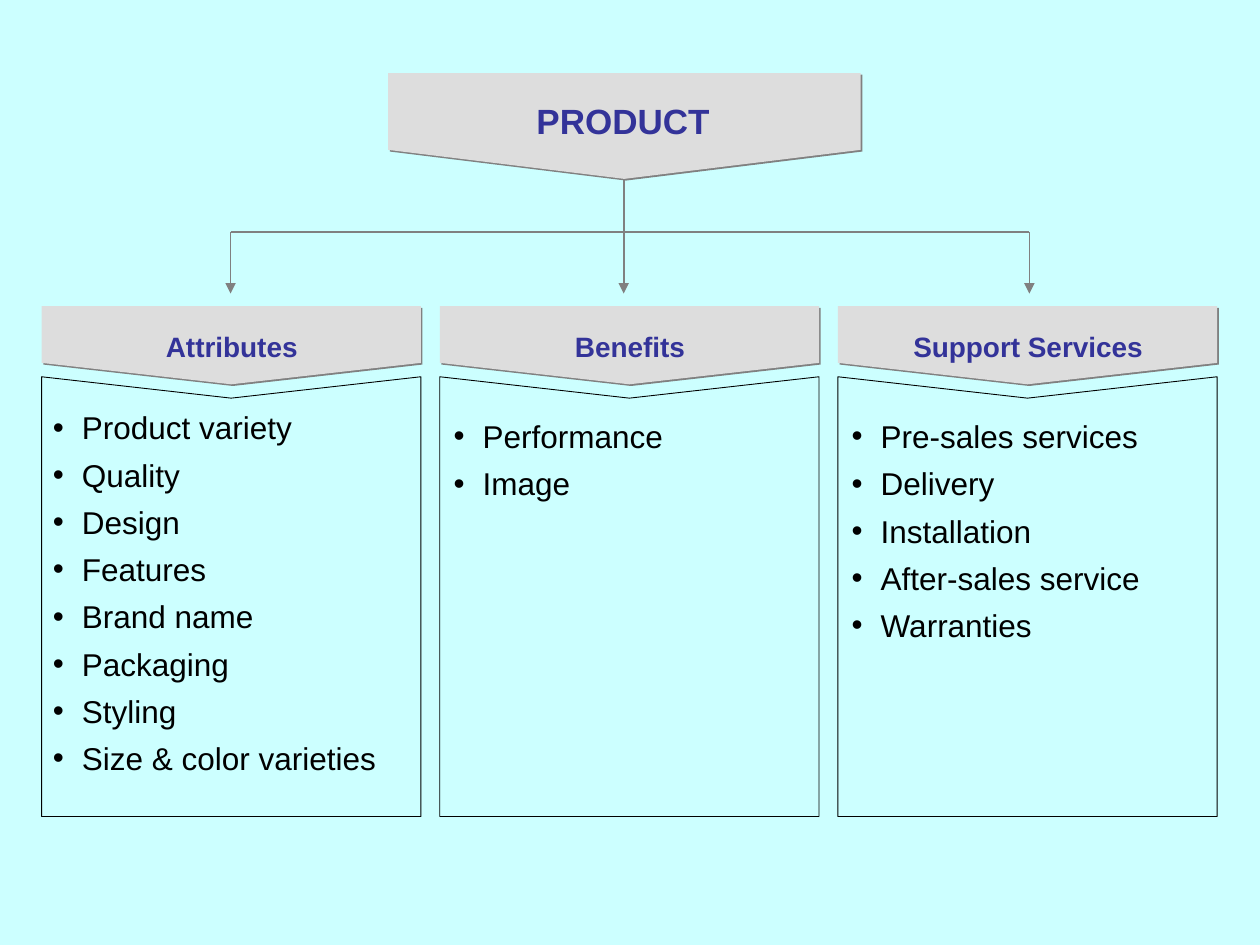
"""Build a slide that splits a product into attributes, benefits and support services."""
from lxml.etree import SubElement
from pptx import Presentation
from pptx.dml.color import RGBColor
from pptx.enum.shapes import MSO_CONNECTOR, MSO_SHAPE
from pptx.enum.text import MSO_ANCHOR as ANCHOR, MSO_AUTO_SIZE as AUTO_SIZE, PP_ALIGN as ALIGN
from pptx.oxml.ns import qn
from pptx.util import Inches, Pt

COLORS = {
    "background": "CCFFFF",
    "banner": "DDDDDD",
    "heading": "333399",
    "text": "000000",
    "gray": "808080",
}
RGB = {name: RGBColor.from_string(value) for name, value in COLORS.items()}
HEADING_FONT = {"name": "Arial", "bold": True}
LIST_FONT = {"name": "Arial", "bold": False, "size": Pt(18)}
FRAME = {"margin_left": 0, "margin_top": 0, "margin_right": 0, "margin_bottom": 0,
         "word_wrap": True, "auto_size": AUTO_SIZE.NONE}
COLUMNS = [
    ("Attributes", 0.42, 3.24, ["Product variety", "Quality", "Design", "Features",
                                "Brand name", "Packaging", "Styling", "Size & color varieties"]),
    ("Benefits", 3.6, 3.31, ["Performance", "Image"]),
    ("Support Services", 6.76, 3.31, ["Pre-sales services", "Delivery", "Installation",
                                      "After-sales service", "Warranties"]),
]
COLUMN_LEFT, COLUMN_STEP, COLUMN_WIDTH = 0.33, 3.16, 3.01


def add_outline(shapes, points):
    corners = [(Inches(x), Inches(y)) for x, y in points]
    builder = shapes.build_freeform(*corners[0], scale=1.0)
    builder.add_line_segments(corners[1:], close=True)
    shape = builder.convert_to_shape()
    shape.shadow.inherit = False
    return shape


def add_banner(shapes, label, text, size, box, sides):
    left, top, right, shoulder, tip = sides
    middle = (left + right) / 2
    banner = add_outline(shapes, [(right, top), (right, shoulder), (middle, tip),
                                  (left, shoulder), (left, top)])
    banner.fill.solid()
    banner.fill.fore_color.rgb = RGB["banner"]
    banner.line.fill.background()
    effects = banner._element.spPr.find(qn("a:effectLst"))
    shadow = SubElement(effects, qn("a:outerShdw"), dist=str(Pt(1.4)), dir="2700000",
                        algn="ctr", rotWithShape="0")
    SubElement(shadow, qn("a:srgbClr"), val=COLORS["gray"])

    if label is None:
        label = shapes.add_shape(MSO_SHAPE.RECTANGLE, 0, 0, 0, 0)
        label.shadow.inherit = False
    label.left, label.top, label.width, label.height = [Inches(value) for value in box]
    label.fill.solid()
    label.fill.fore_color.rgb = RGB["banner"]
    label.line.fill.background()
    shapes._spTree.append(label._element)
    frame = label.text_frame
    for name, value in {**FRAME, "vertical_anchor": ANCHOR.MIDDLE}.items():
        setattr(frame, name, value)
    paragraph = frame.paragraphs[0]
    paragraph.text = text
    paragraph.alignment = ALIGN.CENTER
    for name, value in {**HEADING_FONT, "size": Pt(size)}.items():
        setattr(paragraph.font, name, value)
    paragraph.font.color.rgb = RGB["heading"]


presentation = Presentation()
presentation.slide_width, presentation.slide_height = Inches(10), Inches(7.5)
slide = presentation.slides.add_slide(presentation.slide_layouts[4])
slide.background.fill.solid()
slide.background.fill.fore_color.rgb = RGB["background"]
shapes = slide.shapes
title, *bodies = list(slide.placeholders)[:5]
spare = bodies.pop()
shapes._spTree.remove(spare._element)

for index, ((heading, list_left, list_top, items), body) in enumerate(zip(COLUMNS, bodies)):
    left = COLUMN_LEFT + index * COLUMN_STEP
    right = left + COLUMN_WIDTH
    add_banner(shapes, None, heading, 16, (left + 0.07, 2.61, 2.88, 0.27),
               (left, 2.43, right, 2.88, 3.05))
    panel = add_outline(shapes, [(right, 6.48), (right, 2.99), ((left + right) / 2, 3.16),
                                 (left, 2.99), (left, 6.48)])
    panel.fill.background()
    panel.line.color.rgb = RGB["text"]
    panel.line.width = Pt(0.5)

    body.left, body.top = Inches(list_left), Inches(list_top)
    body.width, body.height = Inches(right - list_left), Inches(6.43 - list_top)
    shapes._spTree.append(body._element)
    frame = body.text_frame
    for name, value in {**FRAME, "vertical_anchor": ANCHOR.TOP}.items():
        setattr(frame, name, value)
    frame.text = "\n".join(items)
    for number, paragraph in enumerate(frame.paragraphs):
        properties = paragraph._p.get_or_add_pPr()
        properties.set("marL", str(Inches(0.23)))
        properties.set("indent", str(-Inches(0.23)))
        paragraph.space_before = Pt(5.4 if number else 0)
        SubElement(properties, qn("a:buFont"), typeface="Arial")
        SubElement(properties, qn("a:buChar"), char="•")
        for name, value in LIST_FONT.items():
            setattr(paragraph.font, name, value)
        paragraph.font.color.rgb = RGB["text"]

add_banner(shapes, title, "PRODUCT", 20, (3.15, 0.79, 3.59, 0.33),
           (3.08, 0.58, 6.83, 1.19, 1.42))

LINES = [
    (4.95, 1.42, 4.95, 1.84, False),
    (1.83, 1.84, 8.17, 1.84, False),
    (8.17, 1.84, 8.17, 2.33, True),
    (4.95, 1.84, 4.95, 2.33, True),
    (1.83, 1.84, 1.83, 2.33, True),
]
for *ends, has_arrow in LINES:
    connector = shapes.add_connector(MSO_CONNECTOR.STRAIGHT, *[Inches(value) for value in ends])
    connector.line.color.rgb = RGB["gray"]
    connector.line.width = Pt(1)
    if has_arrow:
        SubElement(connector.line._get_or_add_ln(), qn("a:tailEnd"), type="triangle")
    SubElement(connector._element.spPr, qn("a:effectLst"))

presentation.save("out.pptx")
